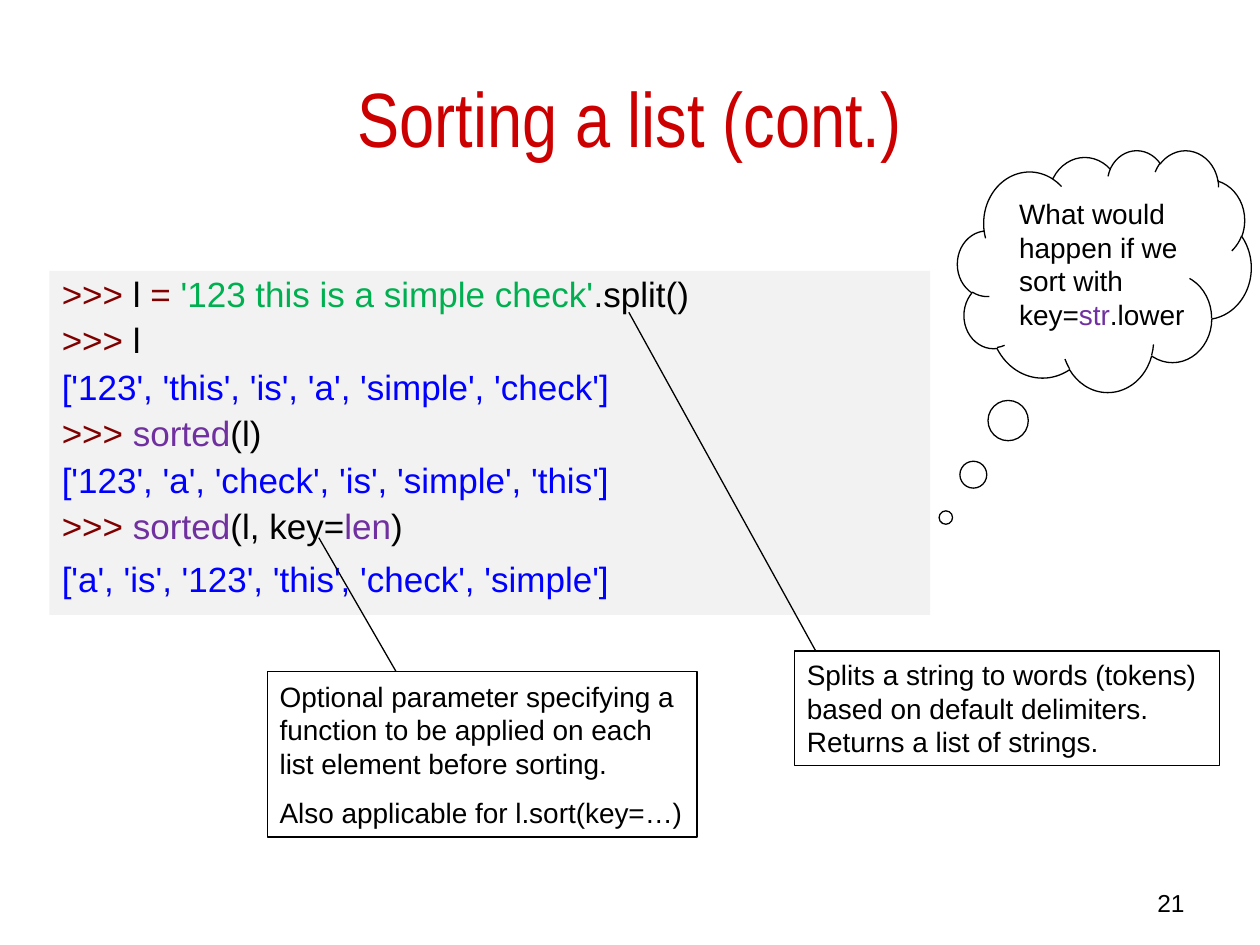
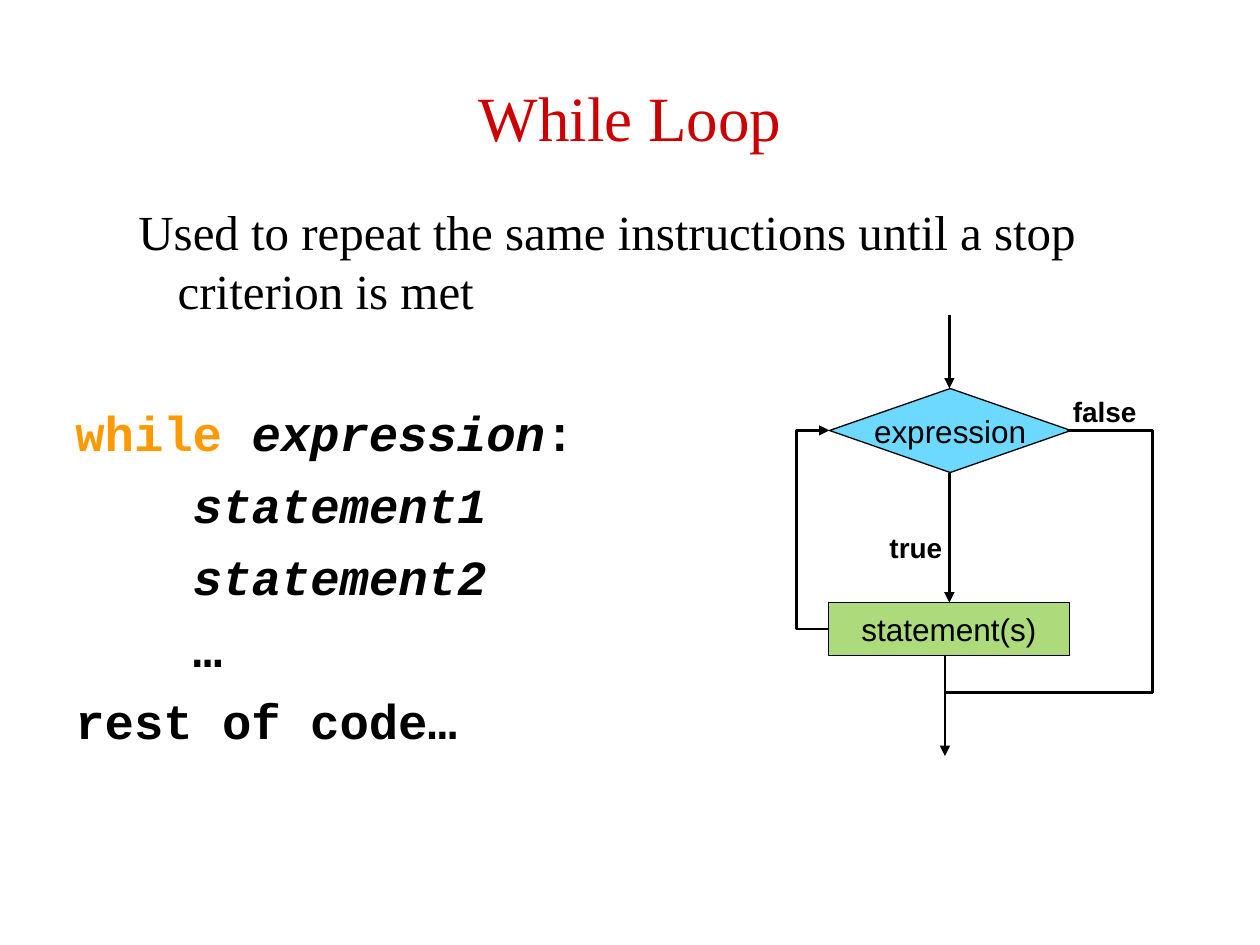
from dataclasses import dataclass, field
from typing import Any, NamedTuple, Optional

import pptx
import pptx.dml.color
import pptx.enum.shapes
import pptx.enum.text
import pptx.oxml
import pptx.oxml.ns
import pptx.util

Pt = pptx.util.Pt
RGBColor = pptx.dml.color.RGBColor
Shapes = pptx.enum.shapes.MSO_SHAPE
Connectors = pptx.enum.shapes.MSO_CONNECTOR
Align = pptx.enum.text.PP_ALIGN
Anchor = pptx.enum.text.MSO_ANCHOR
NO_AUTOFIT = pptx.enum.text.MSO_AUTO_SIZE.NONE

BLACK = RGBColor(0x00, 0x00, 0x00)
TITLE_RED = RGBColor(0xCC, 0x00, 0x00)
PROMPT_MAROON = RGBColor(0x80, 0x00, 0x00)
STRING_GREEN = RGBColor(0x00, 0xB0, 0x50)
OUTPUT_BLUE = RGBColor(0x00, 0x00, 0xFF)
BUILTIN_PURPLE = RGBColor(0x70, 0x30, 0xA0)
KEYWORD_ORANGE = RGBColor(0xFF, 0x99, 0x00)
CODE_GREY = RGBColor(0xF2, 0xF2, 0xF2)
DECISION_BLUE = RGBColor(0x6D, 0xD9, 0xFF)
PROCESS_GREEN = RGBColor(0xAD, 0xDB, 0x7B)

SANS, NARROW, MONO, SERIF = "Arial", "Arial Narrow", "Courier New", "Times New Roman"
TITLE_ONLY = 5


class Frame(NamedTuple):
    left: float
    top: float
    width: float
    height: float


class Point(NamedTuple):
    x: float
    y: float


@dataclass
class Span:
    text: str
    color: RGBColor = BLACK
    style: dict[str, Any] = field(default_factory=dict)


@dataclass
class Para:
    spans: list[Span]
    layout: dict[str, Any] = field(default_factory=dict)
    left: float = 0
    hanging: float = 0


@dataclass
class Box:
    frame: Frame
    paras: list[Para]
    font: dict[str, Any]
    preset: Optional[Any] = None
    adjustments: tuple[float, ...] = ()
    fill: Optional[RGBColor] = None
    outlined: bool = True
    anchor: Any = Anchor.MIDDLE
    wrap: bool = True


@dataclass
class Arrow:
    start: Point
    end: Point
    preset: Optional[str] = None
    bends: tuple[float, ...] = ()
    head: bool = True


TITLE_FRAME = Frame(36, 21.6, 648, 90)
NOTE_FONT = {"name": SANS, "size": Pt(16)}
LABEL_FONT = NOTE_FONT | {"bold": True}
FLOW_FONT = {"name": SANS, "size": Pt(18)}
CODE_FONT = {"name": SANS, "size": Pt(20)}
LOOP_FONT = {"name": MONO, "size": Pt(28), "bold": True}
ITALIC = {"italic": True}


def apply(target: Any, values: dict[str, Any]) -> None:
    for name, value in values.items():
        setattr(target, name, value)


def write_paras(text_frame: Any, paras: list[Para], font: dict[str, Any]) -> None:
    for index, item in enumerate(paras):
        para = text_frame.add_paragraph() if index else text_frame.paragraphs[0]
        apply(para, {"alignment": Align.LEFT} | item.layout)
        properties = para._p.get_or_add_pPr()
        properties.set("marL", str(Pt(item.left)))
        properties.set("indent", str(Pt(-item.hanging)))
        for part in item.spans:
            span = para.add_run()
            span.text = part.text
            apply(span.font, font | part.style)
            span.font.color.rgb = part.color


def draw_box(page: Any, box: Box) -> None:
    frame = [Pt(length) for length in box.frame]
    if box.preset is None:
        shape = page.shapes.add_textbox(*frame)
    else:
        shape = page.shapes.add_shape(box.preset, *frame)
        shape.shadow.inherit = False
        for index, value in enumerate(box.adjustments):
            shape.adjustments[index] = value
        if box.fill is None:
            shape.fill.background()
        else:
            shape.fill.solid()
            shape.fill.fore_color.rgb = box.fill
        if box.outlined:
            shape.line.color.rgb = BLACK
            shape.line.width = Pt(0.75)
        else:
            shape.line.fill.background()
    apply(shape.text_frame, {"word_wrap": box.wrap, "auto_size": NO_AUTOFIT,
                             "vertical_anchor": box.anchor})
    write_paras(shape.text_frame, box.paras, box.font)


def draw_arrow(page: Any, arrow: Arrow) -> None:
    kind = Connectors.ELBOW if arrow.preset else Connectors.STRAIGHT
    ends = [Pt(length) for length in (*arrow.start, *arrow.end)]
    connector = page.shapes.add_connector(kind, *ends)
    connector.line.color.rgb = BLACK
    connector.line.width = Pt(1.5)
    properties = connector._element.spPr
    if arrow.preset:
        geometry = properties.find(pptx.oxml.ns.qn("a:prstGeom"))
        geometry.set("prst", arrow.preset)
        guides = geometry.get_or_add_avLst()
        for number, bend in enumerate(arrow.bends, 1):
            guide = pptx.oxml.parse_xml(f'<a:gd {pptx.oxml.ns.nsdecls("a")}/>')
            guide.set("name", f"adj{number}")
            guide.set("fmla", f"val {round(bend * 100000)}")
            guides.append(guide)
    if arrow.head:
        connector.line._get_or_add_ln().append(pptx.oxml.parse_xml(
            f'<a:tailEnd {pptx.oxml.ns.nsdecls("a")} type="triangle"/>'))
    properties.append(pptx.oxml.parse_xml(f'<a:effectLst {pptx.oxml.ns.nsdecls("a")}/>'))


def bend_at(via: float, start: float, end: float) -> float:
    """Share of the way from start to end at which an elbow turns."""
    return (via - start) / (end - start)


def add_page(deck: Any, title: str, font: dict[str, Any]) -> Any:
    page = deck.slides.add_slide(deck.slide_layouts[TITLE_ONLY])
    heading = page.shapes.title
    apply(heading, dict(zip(("left", "top", "width", "height"), map(Pt, TITLE_FRAME))))
    apply(heading.text_frame, {"word_wrap": True, "auto_size": NO_AUTOFIT,
                               "vertical_anchor": Anchor.MIDDLE})
    write_paras(heading.text_frame,
                [Para([Span(title, TITLE_RED)], {"alignment": Align.CENTER})], font)
    return page


def note(*texts: str) -> list[Para]:
    return [Para([Span(text)], {"space_before": Pt(9)}) for text in texts]


def build_sorting(deck: Any) -> None:
    page = add_page(deck, "Sorting a list (cont.)", {"name": NARROW, "size": Pt(44)})
    prompt = Span(">>> ", PROMPT_MAROON)
    sorted_name = Span("sorted", BUILTIN_PURPLE)
    session = [
        [prompt, Span("l "), Span("= ", PROMPT_MAROON),
         Span("'123 this is a simple check'", STRING_GREEN), Span(".split()")],
        [prompt, Span("l")],
        [Span("['123', 'this', 'is', 'a', 'simple', 'check']", OUTPUT_BLUE)],
        [prompt, sorted_name, Span("(l)")],
        [Span("['123', 'a', 'check', 'is', 'simple', 'this']", OUTPUT_BLUE)],
        [prompt, sorted_name, Span("(l, key="), Span("len", BUILTIN_PURPLE), Span(")")],
    ]
    code = [Para(spans, {"line_spacing": 0.9, "space_before": Pt(5)}) for spans in session]
    code.append(Para([Span("['a', 'is', '123', 'this', 'check', 'simple']", OUTPUT_BLUE)],
                     {"space_before": Pt(5.6)}, 27, 27))
    question = Para([Span("What would happen if we sort with key="),
                     Span("str", BUILTIN_PURPLE), Span(".lower")])
    boxes = [
        Box(Frame(28.2, 154.8, 503.3, 196.6), code, CODE_FONT, Shapes.RECTANGLE,
            fill=CODE_GREY, outlined=False, anchor=Anchor.TOP),
        Box(Frame(516, 504, 168, 18), [Para([Span("21")], {"alignment": Align.RIGHT})],
            {"name": SANS, "size": Pt(14)}, anchor=Anchor.TOP),
        Box(Frame(152.7, 383.8, 245.5, 94.5),
            note("Optional parameter specifying a function to be applied on each "
                 "list element before sorting.",
                 "Also applicable for l.sort(key=…)"),
            NOTE_FONT, Shapes.LINE_CALLOUT_1, (-0.81, 0.12, 0, 0.3)),
        Box(Frame(454, 372, 242.8, 65.4),
            note("Splits a string to words (tokens) based on default delimiters. "
                 "Returns a list of strings."),
            NOTE_FONT, Shapes.LINE_CALLOUT_1, (0, 0.05, -2.96, -0.39)),
        Box(Frame(547.2, 85.7, 167.8, 138.2), [], NOTE_FONT,
            Shapes.CLOUD_CALLOUT, (-0.54, 1.02)),
        Box(Frame(575.3, 108.7, 111.6, 85), [question], NOTE_FONT, anchor=Anchor.TOP),
    ]
    for box in boxes:
        draw_box(page, box)


def build_while_loop(deck: Any) -> None:
    page = add_page(deck, "While Loop", {"name": SERIF, "size": Pt(36)})
    gap = {"space_before": Pt(7.6)}
    code_indent = 67.2
    intro = Span("Used to repeat the same instructions until a stop criterion is met",
                 style={"name": SERIF, "bold": False})
    body = [
        Para([intro], gap, 58.5, 22.5),
        Para([Span("while ", KEYWORD_ORANGE), Span("expression", style=ITALIC), Span(":")],
             {"space_before": Pt(47.4)}),
        Para([Span("statement1", style=ITALIC)], gap, code_indent),
        Para([Span("statement2", style=ITALIC)], gap, code_indent),
        Para([Span("…")], gap, code_indent),
        Para([Span("rest of code…")], gap),
    ]
    draw_box(page, Box(Frame(36, 111.6, 648, 356.4), body, LOOP_FONT, anchor=Anchor.TOP))

    axis, exit_x = 542.5, 540
    test_y, join_y, end_y = 246, 396, 432
    back_start, back_end = Point(473, 359.5), Point(474, test_y)
    false_start, false_end = Point(610, test_y), Point(exit_x, end_y)
    centered = {"alignment": Align.CENTER}
    parts = [
        Box(Frame(474, 222, 138, 48), [Para([Span("expression")], centered), ], FLOW_FONT,
            Shapes.FLOWCHART_DECISION, fill=DECISION_BLUE, wrap=False),
        Arrow(Point(axis, 270), Point(axis, 344.4)),
        Arrow(back_start, back_end, "bentConnector3",
              (bend_at(455, back_start.x, back_end.x),)),
        Box(Frame(501.2, 299.5, 44.6, 26.6), [Para([Span("true")])], LABEL_FONT,
            anchor=Anchor.TOP, wrap=False),
        Box(Frame(606, 221.8, 51, 26.6), [Para([Span("false")])], LABEL_FONT,
            anchor=Anchor.TOP, wrap=False),
        Arrow(false_start, false_end, "bentConnector4",
              (bend_at(658.8, false_start.x, false_end.x),
               bend_at(join_y, false_start.y, false_end.y))),
        Arrow(Point(axis, 180), Point(axis, 222)),
        Arrow(Point(exit_x, 372), Point(exit_x, join_y), head=False),
        Box(Frame(473.3, 344.4, 138, 30), [Para([Span("statement(s)")], centered)], FLOW_FONT,
            Shapes.FLOWCHART_PROCESS, fill=PROCESS_GREEN, wrap=False),
    ]
    for part in parts:
        if isinstance(part, Box):
            draw_box(page, part)
        else:
            draw_arrow(page, part)


def main() -> None:
    deck = pptx.Presentation()
    deck.slide_width, deck.slide_height = Pt(720), Pt(540)
    build_sorting(deck)
    build_while_loop(deck)
    deck.save("out.pptx")


if __name__ == "__main__":
    main()
